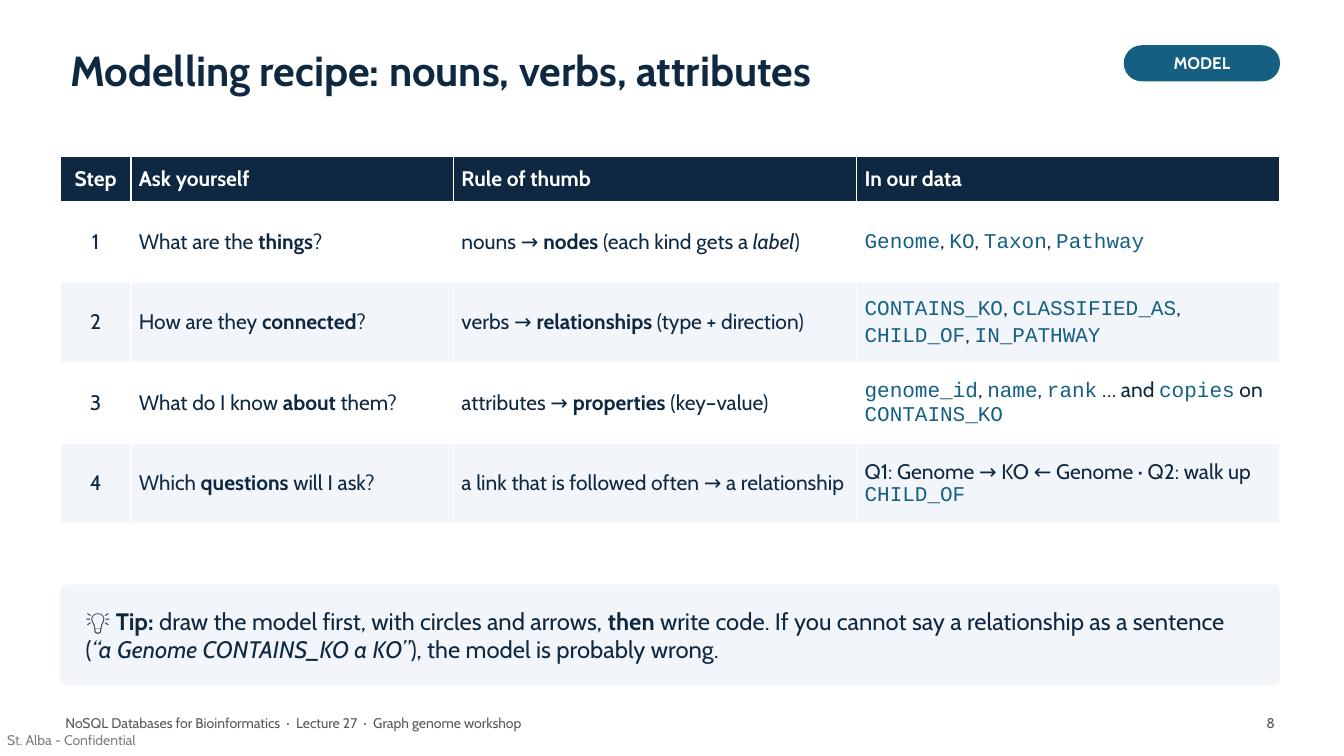
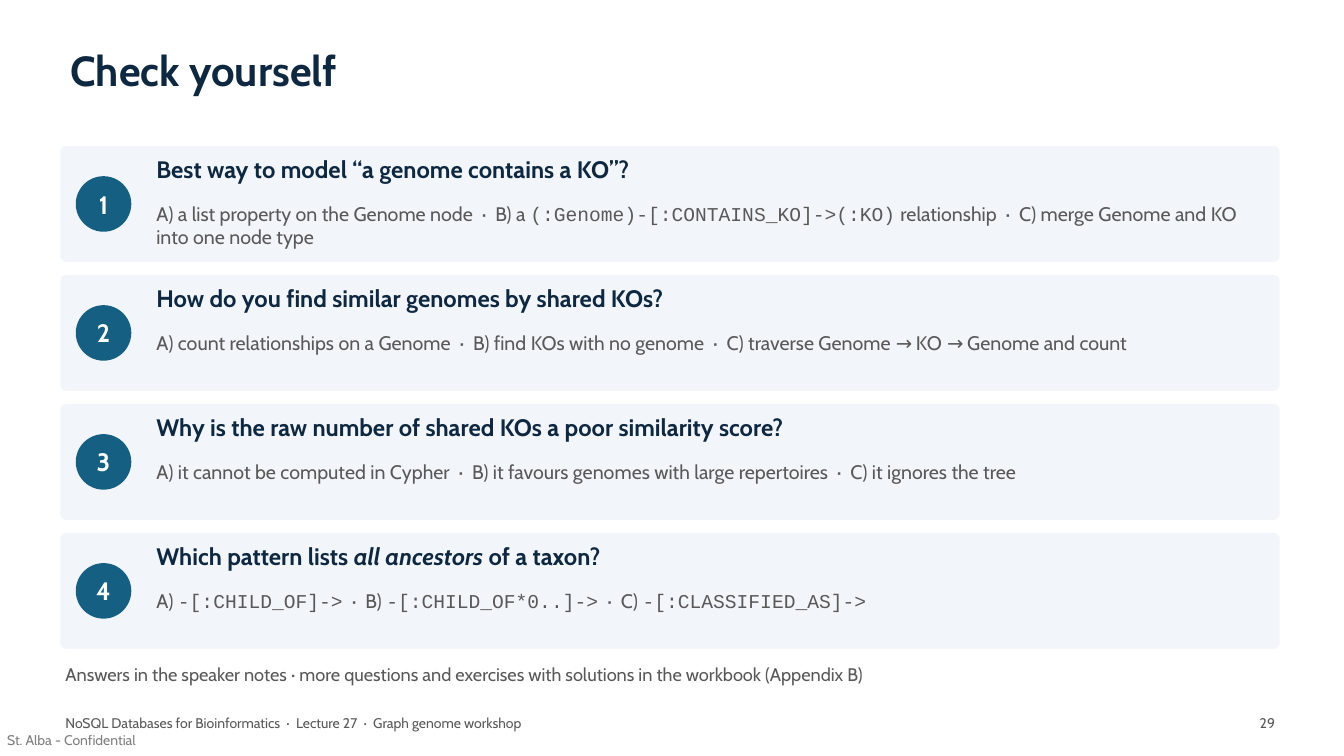
import pptx
import pptx.util
import pptx.dml.color
import pptx.enum.shapes
import pptx.enum.text
import pptx.oxml
import pptx.oxml.ns
from lxml import etree

Cm = pptx.util.Cm
Pt = pptx.util.Pt
RGBColor = pptx.dml.color.RGBColor
Align = pptx.enum.text.PP_ALIGN
Anchor = pptx.enum.text.MSO_ANCHOR
Shape = pptx.enum.shapes.MSO_SHAPE
qn = pptx.oxml.ns.qn

NAVY = RGBColor(0x0E, 0x28, 0x41)
TEAL = RGBColor(0x15, 0x60, 0x82)
PALE = RGBColor(0xF2, 0xF5, 0xF9)
GREY = RGBColor(0x59, 0x59, 0x59)
BLACK = RGBColor(0, 0, 0)
WHITE = RGBColor(0xFF, 0xFF, 0xFF)
BODY_FONT = "Cabin"
CODE_FONT = "Courier New"

LEFT = 1.52
WIDTH = 30.73
TEXT_INSETS = (0.13, 0.08)
SHAPE_INSETS = (0.15, 0.08)
CELL_INSETS = (0.2, 0.1)

FOOTER = "NoSQL Databases for Bioinformatics  ·  Lecture 27  ·  Graph genome workshop"
CONFIDENTIAL = "St. Alba - Confidential"

COLUMN_WIDTHS = [1.78, 8.13, 10.16, 10.66]
HEADER_HEIGHT = 1.14
ROW_HEIGHT = 2.03
HEADERS = ["Step", "Ask yourself", "Rule of thumb", "In our data"]
RECIPE = [
    (
        ["What are the ", ("things", "bold"), "?"],
        ["nouns → ", ("nodes", "bold"), " (each kind gets a ", ("label", "italic"), ")"],
        [("Genome", "code"), ", ", ("KO", "code"), ", ", ("Taxon", "code"), ", ",
         ("Pathway", "code")],
    ),
    (
        ["How are they ", ("connected", "bold"), "?"],
        ["verbs → ", ("relationships", "bold"), " (type + direction)"],
        [("CONTAINS_KO", "code"), ", ", ("CLASSIFIED_AS", "code"), ", ",
         ("CHILD_OF", "code"), ", ", ("IN_PATHWAY", "code")],
    ),
    (
        ["What do I know ", ("about", "bold"), " them?"],
        ["attributes → ", ("properties", "bold"), " (key–value)"],
        [("genome_id", "code"), ", ", ("name", "code"), ", ", ("rank", "code"),
         " … and ", ("copies", "code"), " on ", ("CONTAINS_KO", "code")],
    ),
    (
        ["Which ", ("questions", "bold"), " will I ask?"],
        ["a link that is followed often → a relationship"],
        ["Q1: Genome → KO ← Genome · Q2: walk up ", ("CHILD_OF", "code")],
    ),
]
TIP = [
    "💡 ", ("Tip:", "bold"), " draw the model first, with circles and arrows, ",
    ("then", "bold"), " write code. If you cannot say a relationship as a sentence (",
    ("“a Genome CONTAINS_KO a KO”", "italic"), "), the model is probably wrong.",
]

QUESTIONS = [
    (
        ["Best way to model “a genome contains a KO”?"],
        ["A) a list property on the Genome node  ·  B) a ",
         ("(:Genome)-[:CONTAINS_KO]->(:KO)", "code"),
         " relationship  ·  C) merge Genome and KO into one node type"],
    ),
    (
        ["How do you find similar genomes by shared KOs?"],
        ["A) count relationships on a Genome  ·  B) find KOs with no genome  ·  "
         "C) traverse Genome → KO → Genome and count"],
    ),
    (
        ["Why is the raw number of shared KOs a poor similarity score?"],
        ["A) it cannot be computed in Cypher  ·  B) it favours genomes with large "
         "repertoires  ·  C) it ignores the tree"],
    ),
    (
        ["Which pattern lists ", ("all ancestors", "italic"), " of a taxon?"],
        ["A) ", ("-[:CHILD_OF]->", "code"), "  ·  B) ", ("-[:CHILD_OF*0..]->", "code"),
         "  ·  C) ", ("-[:CLASSIFIED_AS]->", "code")],
    ),
]
ANSWERS = ("Answers in the speaker notes · more questions and exercises with solutions "
           "in the workbook (Appendix B)")
CARD_TOP = 3.68
CARD_HEIGHT = 2.92
CARD_STEP = 3.25


def write(frame, spans, size, color, bold=False, align=Align.LEFT, code_color=None):
    para = frame.paragraphs[0]
    para.alignment = align
    for item in spans:
        text, style = (item, "") if isinstance(item, str) else item
        span = para.add_run()
        span.text = text
        span.font.size = Pt(size)
        span.font.bold = bold or style == "bold"
        span.font.italic = style == "italic"
        is_code = style == "code"
        span.font.name = CODE_FONT if is_code else BODY_FONT
        span.font.color.rgb = code_color if is_code and code_color else color
    return para


def set_insets(holder, insets):
    holder.margin_left = holder.margin_right = Cm(insets[0])
    holder.margin_top = holder.margin_bottom = Cm(insets[1])


def add_text(page, place, spans, size, color, insets=TEXT_INSETS, anchor=Anchor.TOP, **style):
    box = page.shapes.add_textbox(*map(Cm, place))
    frame = box.text_frame
    frame.word_wrap = True
    frame.vertical_anchor = anchor
    set_insets(frame, insets)
    return write(frame, spans, size, color, **style)


def add_panel(page, kind, place, fill, radius=None, label=None, size=None):
    panel = page.shapes.add_shape(kind, *map(Cm, place))
    panel.shadow.inherit = False
    panel.fill.solid()
    panel.fill.fore_color.rgb = fill
    panel.line.fill.background()
    if radius is not None:
        panel.adjustments[0] = radius
    if label:
        frame = panel.text_frame
        frame.vertical_anchor = Anchor.MIDDLE
        set_insets(frame, SHAPE_INSETS)
        write(frame, [label], size, WHITE, bold=True, align=Align.CENTER)


def add_page(deck, heading, number, title_width):
    page = deck.slides.add_slide(deck.slide_layouts[5])
    title = page.shapes.title
    title.left, title.top = Cm(LEFT), Cm(0.76)
    title.width, title.height = Cm(title_width), Cm(2.16)
    title.text_frame.auto_size = pptx.enum.text.MSO_AUTO_SIZE.NONE
    title.text_frame.vertical_anchor = Anchor.MIDDLE
    para = write(title.text_frame, [heading], 30, NAVY, bold=True)
    para.line_spacing = 0.9

    notice = add_text(page, (0.18, 18.44, 3.8, 0.43), [CONFIDENTIAL], 10, BLACK, insets=(0, 0))
    color = notice.runs[0].font.fill._xPr.find(".//" + qn("a:srgbClr"))
    etree.SubElement(color, qn("a:alpha")).set("val", "50000")
    add_text(page, (LEFT, 17.93, 24.13, 0.76), [FOOTER], 10, GREY)
    add_text(page, (29.72, 17.93, 2.54, 0.76), [str(number)], 10, GREY, align=Align.RIGHT)
    return page


def add_borders(cell):
    properties = cell._tc.get_or_add_tcPr()
    for index, side in enumerate(("lnL", "lnR", "lnT", "lnB")):
        line = etree.Element(qn("a:" + side), w=str(Pt(1)))
        fill = etree.SubElement(line, qn("a:solidFill"))
        etree.SubElement(fill, qn("a:srgbClr")).set("val", str(WHITE))
        properties.insert(index, line)


def add_recipe_table(page):
    rows = [[[header] for header in HEADERS]]
    rows += [[[str(step)], *cells] for step, cells in enumerate(RECIPE, 1)]
    height = HEADER_HEIGHT + ROW_HEIGHT * len(RECIPE)
    table = page.shapes.add_table(
        len(rows), len(HEADERS), Cm(LEFT), Cm(3.94), Cm(WIDTH), Cm(height)).table
    table.first_row = table.horz_banding = False
    for column, width in zip(table.columns, COLUMN_WIDTHS):
        column.width = Cm(width)
    for row_index, row in enumerate(rows):
        is_header = row_index == 0
        table.rows[row_index].height = Cm(HEADER_HEIGHT if is_header else ROW_HEIGHT)
        fill = NAVY if is_header else WHITE if row_index % 2 else PALE
        for column_index, spans in enumerate(row):
            cell = table.cell(row_index, column_index)
            cell.fill.solid()
            cell.fill.fore_color.rgb = fill
            cell.vertical_anchor = Anchor.MIDDLE
            set_insets(cell, CELL_INSETS)
            add_borders(cell)
            write(cell.text_frame, spans, 15, WHITE if is_header else NAVY, bold=is_header,
                  align=Align.LEFT if column_index else Align.CENTER, code_color=TEAL)


def build_recipe(deck):
    page = add_page(deck, "Modelling recipe: nouns, verbs, attributes", 8, 26.42)
    add_panel(page, Shape.ROUNDED_RECTANGLE, (28.32, 1.14, 3.94, 0.91), TEAL, 0.5, "MODEL", 12)
    add_recipe_table(page)
    add_panel(page, Shape.ROUNDED_RECTANGLE, (LEFT, 14.73, WIDTH, 2.54), PALE, 0.06)
    add_text(page, (2.03, 14.86, 29.72, 2.29), TIP, 17, NAVY, anchor=Anchor.MIDDLE)


def build_quiz(deck):
    page = add_page(deck, "Check yourself", 29, WIDTH)
    for index, (question, options) in enumerate(QUESTIONS):
        top = CARD_TOP + index * CARD_STEP
        add_panel(page, Shape.ROUNDED_RECTANGLE, (LEFT, top, WIDTH, CARD_HEIGHT), PALE, 0.05)
        add_panel(page, Shape.OVAL, (1.91, top + 0.76, 1.4, 1.4), TEAL,
                  label=str(index + 1), size=18)
        add_text(page, (3.81, top + 0.13, 28.19, 1.14), question, 17, NAVY, bold=True)
        add_text(page, (3.81, top + 1.32, 28.19, 1.52), options, 14, GREY)
    add_text(page, (LEFT, 16.64, WIDTH, 1.02), [ANSWERS], 13, GREY)


def main():
    deck = pptx.Presentation()
    deck.slide_width, deck.slide_height = Cm(33.87), Cm(19.05)
    build_recipe(deck)
    build_quiz(deck)
    deck.save("out.pptx")


if __name__ == "__main__":
    main()
